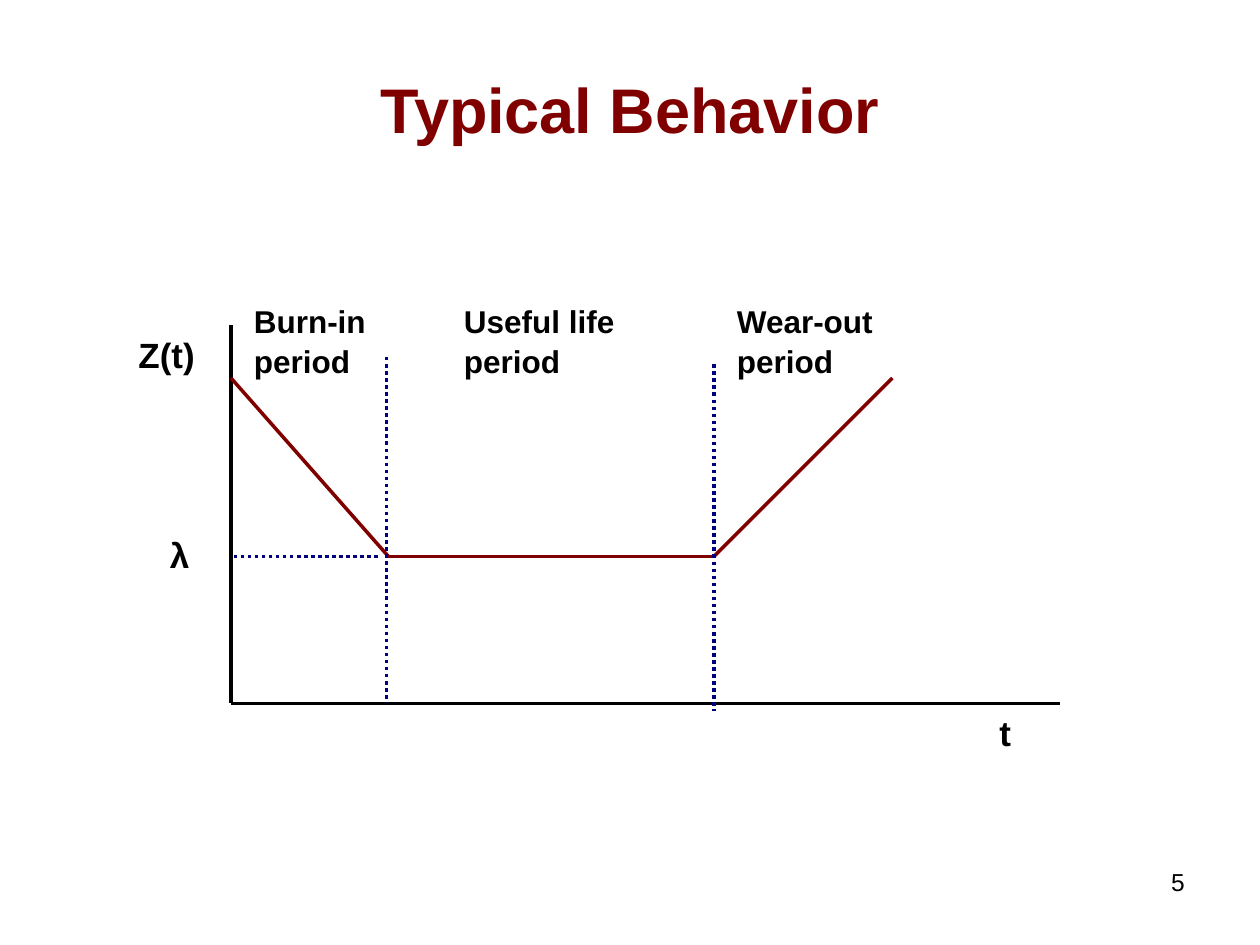
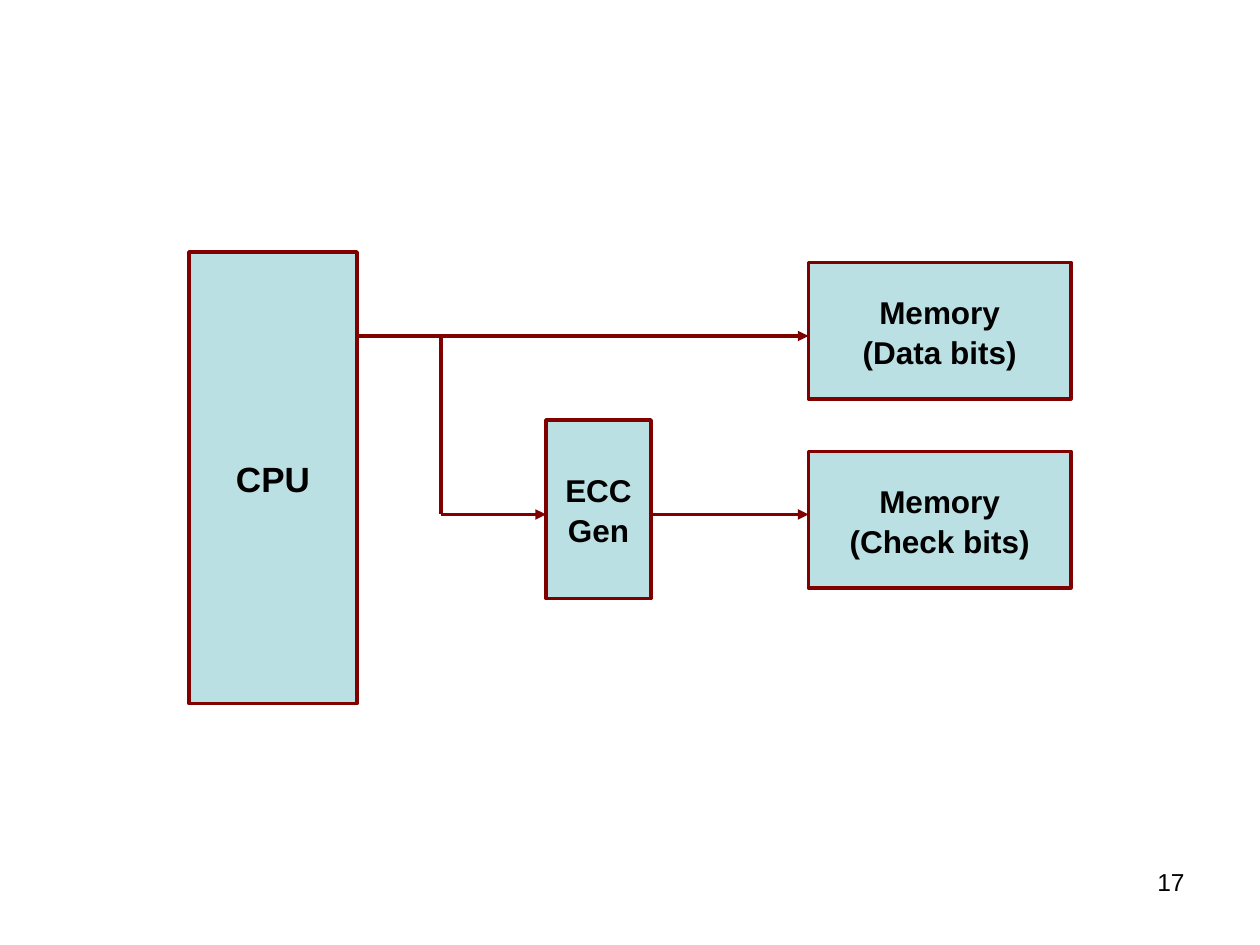
"""Builds two reliability slides: a failure-rate curve and an ECC memory diagram."""
from itertools import pairwise

from lxml.etree import SubElement
from pptx import Presentation
from pptx.dml.color import RGBColor
from pptx.enum.dml import MSO_LINE
from pptx.enum.shapes import MSO_CONNECTOR, MSO_SHAPE
from pptx.enum.text import MSO_ANCHOR, PP_ALIGN
from pptx.oxml.ns import qn
from pptx.util import Cm, Pt

COLORS = {"maroon": "800000", "navy": "000080", "black": "000000", "aqua": "BBE0E3"}
GRID_CM = 2.54 / 12
TITLE_ONLY, BLANK = 5, 6


def grid(*steps):
    return [Cm(step * GRID_CM) for step in steps]


def color(name):
    return RGBColor.from_string(COLORS[name])


def write(shape, text, size, name="black", bold=True, align=PP_ALIGN.LEFT,
          anchor=MSO_ANCHOR.TOP, wrap=True, spacing=1.05):
    frame = shape.text_frame
    frame.text = text
    frame.word_wrap = wrap
    frame.vertical_anchor = anchor
    font_format = {"name": "Arial", "size": Pt(size), "bold": bold}
    for para in frame.paragraphs:
        para.alignment = align
        para.line_spacing = spacing
        for span in para.runs:
            for key, value in font_format.items():
                setattr(span.font, key, value)
            span.font.color.rgb = color(name)


def add_title(page, text):
    title = page.shapes.title
    title.left, title.top, title.width, title.height = grid(6, 3.6, 108, 13.4)
    write(title, text, 36, "maroon", align=PP_ALIGN.CENTER,
          anchor=MSO_ANCHOR.MIDDLE, spacing=1.0)


def add_label(page, text, place, size, **text_format):
    box = page.shapes.add_textbox(*grid(*place))
    write(box, text, size, **text_format)


def add_page_number(page, number):
    add_label(page, str(number), (86, 82, 28, 6.2), 14, bold=False,
              align=PP_ALIGN.RIGHT, spacing=1.0)


def add_block(page, text, place, size=18):
    block = page.shapes.add_shape(MSO_SHAPE.RECTANGLE, *grid(*place))
    block.shadow.inherit = False
    block.fill.solid()
    block.fill.fore_color.rgb = color("aqua")
    block.line.color.rgb = color("maroon")
    block.line.width = Pt(2)
    write(block, text, size, align=PP_ALIGN.CENTER, anchor=MSO_ANCHOR.MIDDLE, wrap=False)


def add_path(page, points, name, dotted=False, arrow=False):
    for start, end in pairwise(points):
        connector = page.shapes.add_connector(MSO_CONNECTOR.STRAIGHT, *grid(*start, *end))
        connector.line.color.rgb = color(name)
        connector.line.width = Pt(2)
        if dotted:
            connector.line.dash_style = MSO_LINE.ROUND_DOT
        if arrow and end == points[-1]:
            SubElement(connector.line._get_or_add_ln(), qn("a:tailEnd"), type="triangle")
        SubElement(connector._element.spPr, qn("a:effectLst"))


def build_behavior(deck):
    page = deck.slides.add_slide(deck.slide_layouts[TITLE_ONLY])
    add_title(page, "Typical Behavior")
    add_path(page, [(22, 31), (22, 67), (101, 67)], "black")
    add_path(page, [(22, 36), (37, 53), (68, 53), (85, 36)], "maroon")
    for limit in ([(36.8, 34), (36.8, 67)], [(68, 34.7), (68, 67.7)], [(36, 53), (22, 53)]):
        add_path(page, limit, "navy", dotted=True)
    for text, left, top in (("Z(t)", 12, 31), ("t", 94, 67), ("λ", 15, 50)):
        add_label(page, text, (left, top, 10, 5.25), 20)
    for text, left in (("Burn-in period", 23), ("Useful life period", 43), ("Wear-out period", 69)):
        add_label(page, text, (left, 28, 22, 8.4), 18)
    add_page_number(page, 5)


def build_memory(deck):
    page = deck.slides.add_slide(deck.slide_layouts[BLANK])
    add_block(page, "CPU", (18, 24, 16, 43), 20)
    for bits, top in (("Data", 25), ("Check", 43)):
        add_block(page, f"Memory\n({bits} bits)", (77, top, 25, 13))
    add_block(page, "ECC\nGen", (52, 40, 10, 17))
    for route in ([(34, 32), (77, 32)], [(42, 32), (42, 49), (52, 49)], [(62, 49), (77, 49)]):
        add_path(page, route, "maroon", arrow=True)
    add_page_number(page, 17)


def main():
    deck = Presentation()
    deck.slide_width, deck.slide_height = Cm(25.4), Cm(19.05)
    build_behavior(deck)
    build_memory(deck)
    deck.save("out.pptx")


if __name__ == "__main__":
    main()
